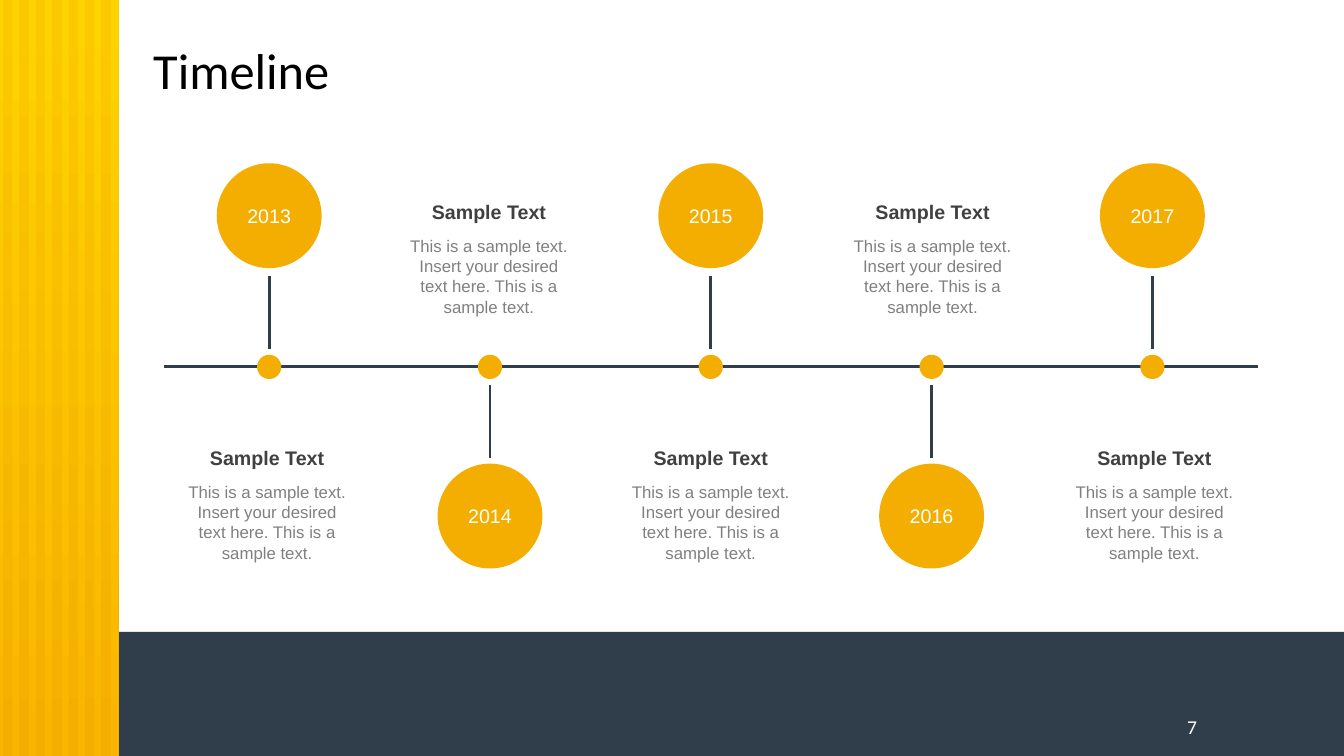
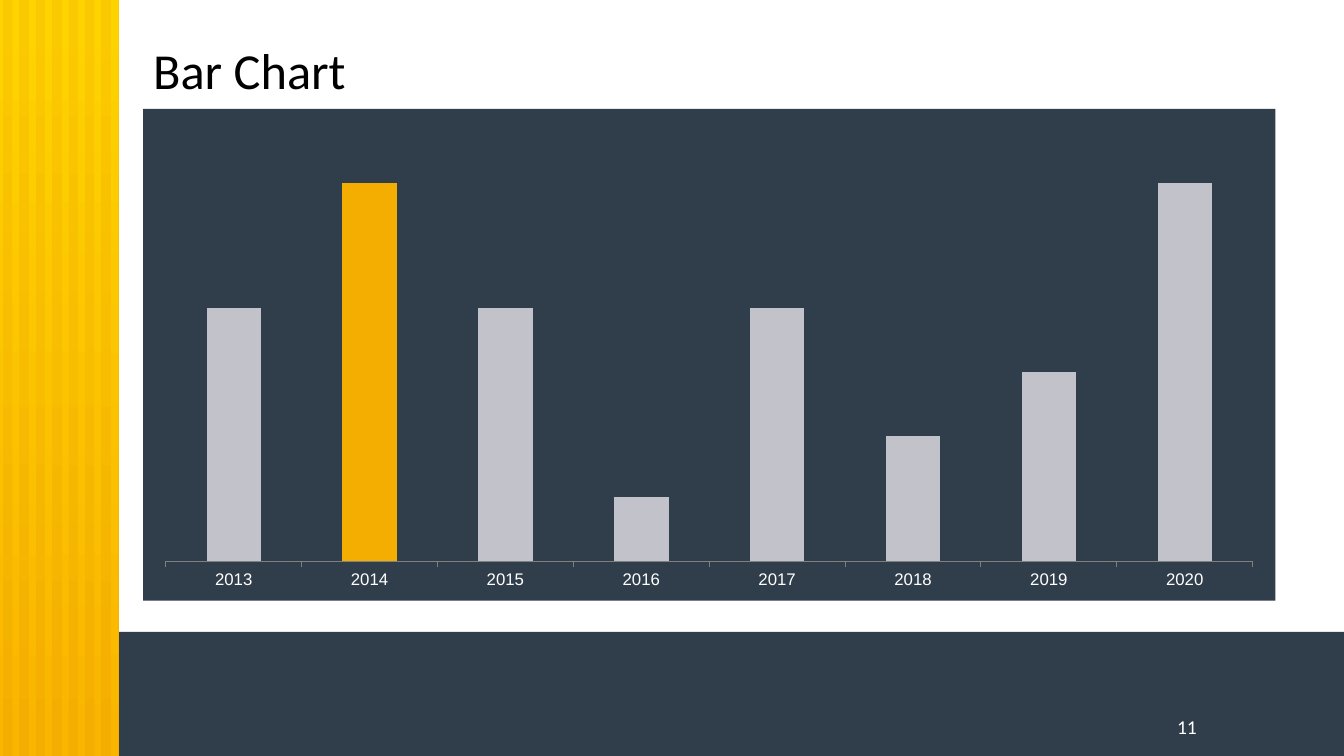
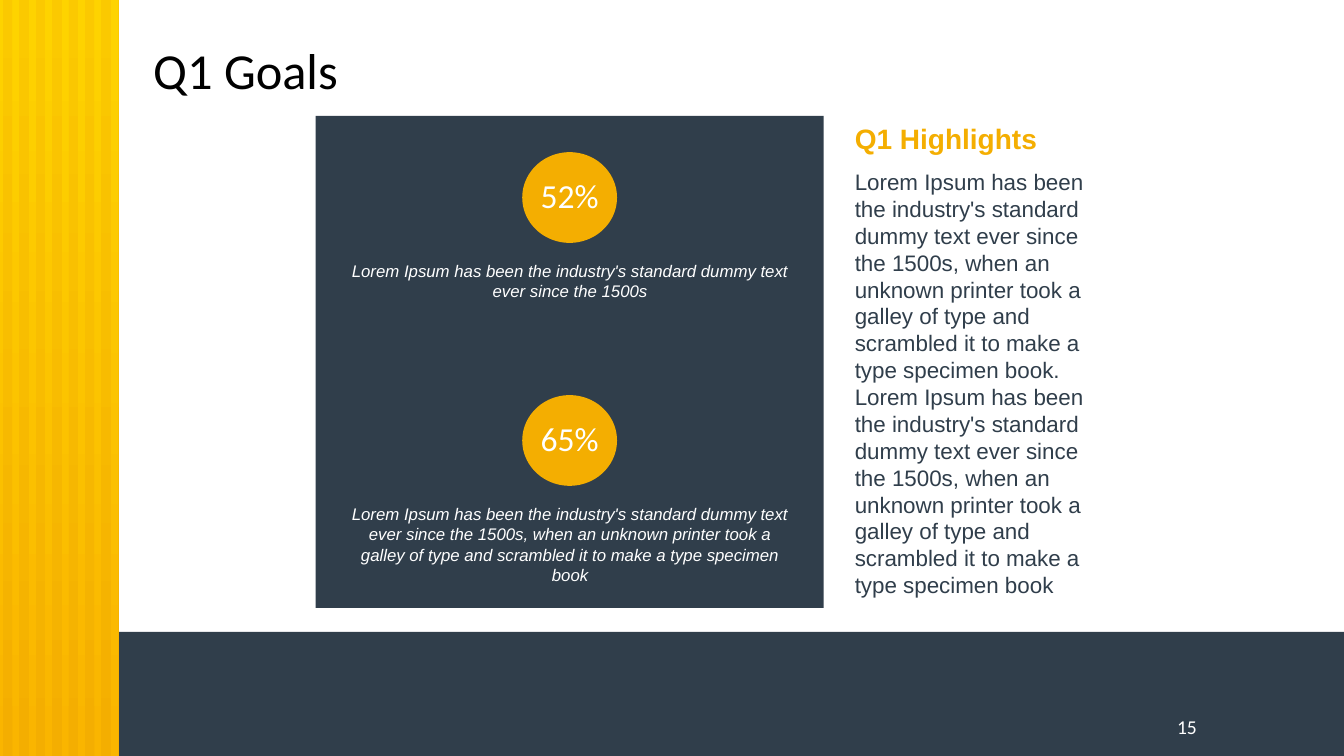
"""Build three slides: a timeline, a bar chart and the Q1 goals."""
from lxml.etree import SubElement
from pptx import Presentation
from pptx.chart.data import CategoryChartData
from pptx.dml.color import RGBColor
from pptx.enum.chart import XL_CHART_TYPE, XL_TICK_MARK
from pptx.enum.shapes import MSO_CONNECTOR, MSO_SHAPE
from pptx.enum.text import MSO_ANCHOR, PP_ALIGN
from pptx.oxml import parse_xml
from pptx.oxml.ns import nsdecls, qn
from pptx.util import Inches, Pt

SLATE = RGBColor(0x30, 0x3E, 0x4B)
AMBER = RGBColor(0xF4, 0xAE, 0x01)
GOLD = RGBColor(0xFB, 0xC9, 0x01)
STRIPE_LOW = RGBColor(0xFA, 0xB5, 0x00)
STRIPE_HIGH = RGBColor(0xFE, 0xD3, 0x00)
SILVER = RGBColor(0xC1, 0xC2, 0xCA)
GREY = RGBColor(0x80, 0x80, 0x80)
DARK = RGBColor(0x40, 0x40, 0x40)
WHITE = RGBColor(0xFF, 0xFF, 0xFF)
BLACK = RGBColor(0, 0, 0)

MILESTONES = ["2013", "2014", "2015", "2016", "2017"]
CAPTION_HEAD = "Sample Text"
CAPTION_BODY = "This is a sample text. Insert your desired text here. This is a sample text."

BARS = {"2013": 67, "2014": 100, "2015": 67, "2016": 17,
        "2017": 67, "2018": 33, "2019": 50, "2020": 100}
HIGHLIGHT = "2014"

LOREM = "Lorem Ipsum has been the industry's standard dummy text ever since the 1500s"
LOREM_LONG = (LOREM + ", when an unknown printer took a galley of type "
              "and scrambled it to make a type specimen book")
GOALS = [("52%", LOREM, 0.5), ("65%", LOREM_LONG, 0.91)]


def add_shape(s, kind, x, y, w, h, color):
    shape = s.shapes.add_shape(kind, Inches(x), Inches(y), Inches(w), Inches(h))
    shape.shadow.inherit = False
    shape.line.fill.background()
    shape.fill.solid()
    shape.fill.fore_color.rgb = color
    return shape


def add_gradient(s, x, w, low, high):
    band = add_shape(s, MSO_SHAPE.RECTANGLE, x, 0, w, 7.5, low)
    band.fill.gradient()
    band.fill.gradient_angle = 90
    for stop, color, position in zip(band.fill.gradient_stops, (low, high), (0, 1)):
        stop.color.rgb = color
        stop.position = position


def write(tf, text, size, color, font="Arial", align=PP_ALIGN.LEFT, bold=False, italic=False):
    p = tf.paragraphs[0]
    p.text = text
    p.alignment = align
    p.font.name, p.font.size = font, Pt(size)
    p.font.bold, p.font.italic = bold, italic
    p.font.color.rgb = color


def add_text(s, x, y, w, h, text, size, color, anchor=MSO_ANCHOR.TOP, **style):
    tf = s.shapes.add_textbox(Inches(x), Inches(y), Inches(w), Inches(h)).text_frame
    tf.word_wrap = True
    tf.vertical_anchor = anchor
    write(tf, text, size, color, **style)
    return tf


def add_badge(s, x, y, w, h, text, size, font="Arial", bottom=0):
    tf = add_shape(s, MSO_SHAPE.OVAL, x, y, w, h, AMBER).text_frame
    tf.margin_left = tf.margin_top = tf.margin_right = 0
    tf.margin_bottom = Inches(bottom)
    tf.word_wrap = False
    tf.vertical_anchor = MSO_ANCHOR.MIDDLE
    write(tf, text, size, WHITE, font=font, align=PP_ALIGN.CENTER)


def add_line(s, x1, y1, x2, y2):
    line = s.shapes.add_connector(MSO_CONNECTOR.STRAIGHT, Inches(x1), Inches(y1),
                                  Inches(x2), Inches(y2))
    line.line.color.rgb = SLATE
    line.line.width = Pt(2)
    SubElement(line.element.spPr, qn("a:effectLst"))


def new_slide(prs, title, number):
    s = prs.slides.add_slide(prs.slide_layouts[6])
    add_shape(s, MSO_SHAPE.RECTANGLE, 1.18, 6.27, 12.15, 1.23, SLATE)
    add_gradient(s, -0.06, 1.24, AMBER, GOLD)
    for i in range(8):
        add_gradient(s, -0.04 + i * 1.14 / 7, 0.07, STRIPE_LOW, STRIPE_HIGH)
    tf = add_text(s, 1.39, 0.3, 11.27, 0.78, title, 36, BLACK, MSO_ANCHOR.MIDDLE, font="Calibri")
    tf.margin_left = tf.margin_right = Inches(0.13)
    tf.margin_top = tf.margin_bottom = Inches(0.07)
    add_text(s, 11.47, 7.04, 0.5, 0.34, str(number), 14, WHITE,
             font="Calibri", align=PP_ALIGN.RIGHT)
    return s


def timeline_slide(prs):
    s = new_slide(prs, "Timeline", 7)
    axis_y, dot, circle = 3.64, 0.24, 1.04
    add_line(s, 1.63, axis_y, 12.48, axis_y)
    for i, year in enumerate(MILESTONES):
        x, caption_x = 2.67 + i * 2.19, 1.75 + i * 2.2
        above = i % 2 == 0
        circle_y, stem_y, caption_y = (1.62, 2.74, 4.37) if above else (4.6, 3.82, 1.93)
        add_shape(s, MSO_SHAPE.OVAL, x - dot / 2, axis_y - dot / 2, dot, dot, AMBER)
        add_line(s, x, stem_y, x, stem_y + 0.72)
        add_badge(s, x - circle / 2, circle_y, circle, circle, year, 14)
        add_text(s, caption_x, caption_y + 0.36, 1.8, 0.91, CAPTION_BODY, 12, GREY,
                 align=PP_ALIGN.CENTER)
        add_text(s, caption_x, caption_y, 1.8, 0.34, CAPTION_HEAD, 14, DARK,
                 MSO_ANCHOR.BOTTOM, align=PP_ALIGN.CENTER, bold=True)


def frame_chart(chart):
    space = chart.element
    space.find(qn("c:chart")).addnext(parse_xml(
        f'<c:spPr {nsdecls("c", "a")}><a:solidFill><a:srgbClr val="{SLATE}"/></a:solidFill>'
        '<a:ln><a:noFill/></a:ln></c:spPr>'))
    plot_area = space.find(qn("c:chart")).find(qn("c:plotArea"))
    for layout in plot_area.findall(qn("c:layout")):
        plot_area.remove(layout)
    layout = SubElement(plot_area, qn("c:layout"))
    plot_area.insert(0, layout)
    manual = SubElement(layout, qn("c:manualLayout"))
    for tag, val in (("layoutTarget", "inner"), ("xMode", "edge"), ("yMode", "edge"),
                     ("x", "0.02"), ("y", "0.15"), ("w", "0.96"), ("h", "0.77")):
        SubElement(manual, qn(f"c:{tag}")).set("val", val)


def chart_slide(prs):
    s = new_slide(prs, "Bar Chart", 11)
    data = CategoryChartData()
    data.categories = list(BARS)
    data.add_series("Series 1", list(BARS.values()))
    chart = s.shapes.add_chart(XL_CHART_TYPE.COLUMN_STACKED, Inches(1.42), Inches(1.08),
                               Inches(11.23), Inches(4.88), data).chart
    chart.has_title = chart.has_legend = False
    chart.font.name, chart.font.size = "Calibri", Pt(18)
    chart.font.color.rgb = BLACK
    frame_chart(chart)

    plot = chart.plots[0]
    plot.gap_width, plot.overlap, plot.vary_by_categories = 150, 100, False
    series = plot.series[0]
    highlight = series.points[list(BARS).index(HIGHLIGHT)]
    for part, color in ((series, SILVER), (highlight, AMBER)):
        part.format.fill.solid()
        part.format.fill.fore_color.rgb = color

    value_axis, category_axis = chart.value_axis, chart.category_axis
    value_axis.visible = value_axis.has_major_gridlines = False
    value_axis.minimum_scale, value_axis.maximum_scale = 0, 100
    category_axis.major_tick_mark = XL_TICK_MARK.OUTSIDE
    category_axis.format.line.color.rgb = GREY
    font = category_axis.tick_labels.font
    font.name, font.size = "Arial", Pt(12)
    font.color.rgb = WHITE


def goals_slide(prs):
    s = new_slide(prs, "Q1 Goals", 15)
    add_shape(s, MSO_SHAPE.RECTANGLE, 3.13, 1.15, 5.04, 4.88, SLATE)
    for i, (percent, text, height) in enumerate(GOALS):
        y = 1.51 + i * 2.41
        add_badge(s, 5.18, y, 0.94, 0.9, percent, 24, font="Calibri", bottom=0.05)
        add_text(s, 3.37, y + 1.03, 4.57, height, text, 12, WHITE,
                 align=PP_ALIGN.CENTER, italic=True)
    add_text(s, 8.38, 1.62, 2.54, 4.41, f"{LOREM_LONG}. {LOREM_LONG}", 16, SLATE)
    add_text(s, 8.38, 1.15, 2.54, 0.44, "Q1 Highlights", 20, AMBER, MSO_ANCHOR.BOTTOM, bold=True)


def main():
    prs = Presentation()
    prs.slide_width, prs.slide_height = Inches(13.33), Inches(7.5)
    timeline_slide(prs)
    chart_slide(prs)
    goals_slide(prs)
    prs.save("out.pptx")


if __name__ == "__main__":
    main()
